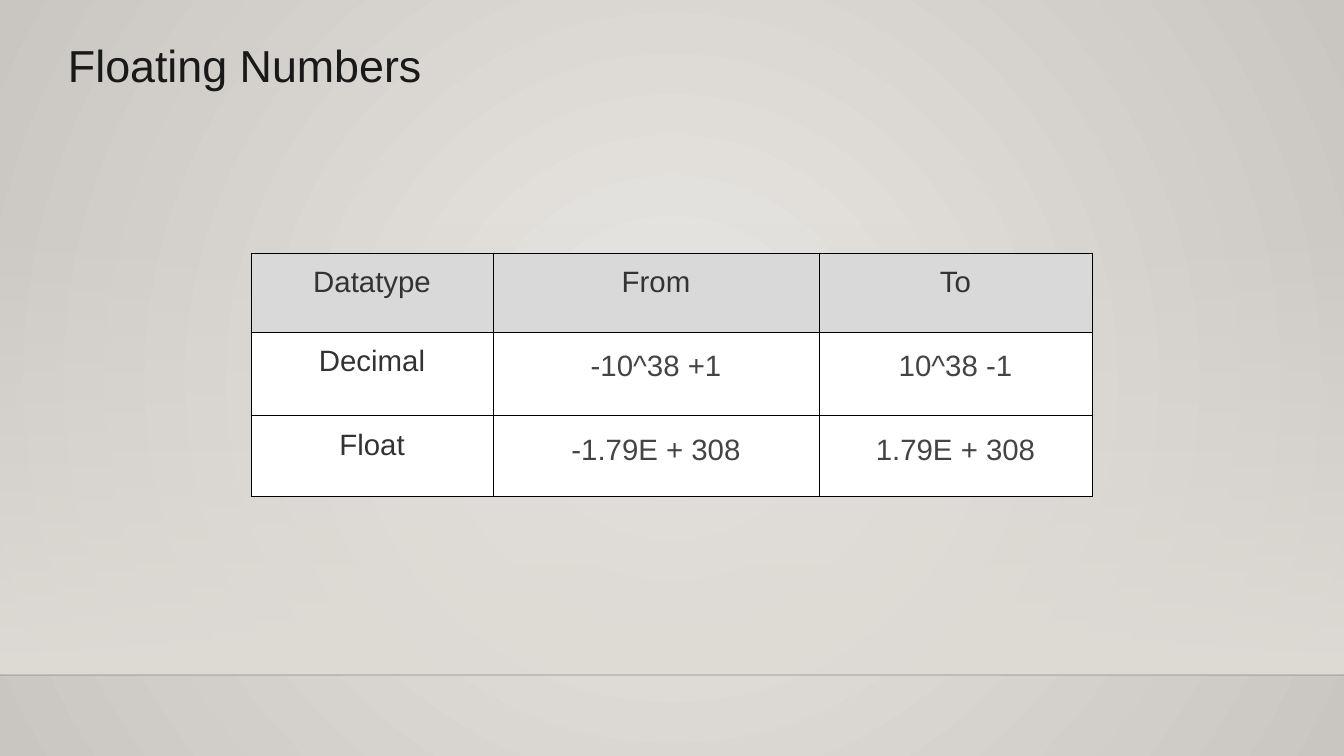
from dataclasses import dataclass
from typing import Any

from lxml import etree
from pptx import Presentation
from pptx import util as u
from pptx.dml.color import RGBColor
from pptx.enum import shapes, text
from pptx.oxml import ns, parse_xml

SCALE = 914400 / 100.8
INSET = 13

WALL_LIGHT = RGBColor(0xEB, 0xE9, 0xE6)
WALL_DARK = RGBColor(0xC9, 0xC5, 0xC0)
HAZE = RGBColor(0xDF, 0xDB, 0xD5)
HORIZON = RGBColor(0x00, 0x00, 0x01)
TITLE_INK = RGBColor(0x19, 0x19, 0x19)
LABEL_INK = RGBColor(0x33, 0x33, 0x33)
VALUE_INK = RGBColor(0x44, 0x44, 0x44)
HEADER_GREY = RGBColor(0xD9, 0xD9, 0xD9)
WHITE = RGBColor(0xFF, 0xFF, 0xFF)
BORDER = RGBColor(0x00, 0x00, 0x00)


@dataclass(frozen=True)
class NumberRange:
    datatype: str
    start: str
    end: str
    height: int


HEADER = NumberRange("Datatype", "From", "To", 79)
RANGES = [
    HEADER,
    NumberRange("Decimal", "-10^38 +1", "10^38 -1", 84),
    NumberRange("Float", "-1.79E + 308", "1.79E + 308", 81),
]
COLUMN_WIDTHS = [242, 326, 273]


def px(length: int) -> u.Emu:
    return u.Emu(round(length * SCALE))


def apply(target: Any, formats: dict[str, Any]) -> None:
    for name, value in formats.items():
        setattr(target, name, value)


def write(paragraph: Any, words: str, size: int, ink: RGBColor) -> None:
    run = paragraph.add_run()
    run.text = words
    apply(run.font, {"name": "Arial", "size": u.Pt(size), "bold": False})
    run.font.color.rgb = ink


def set_gradient(fill: Any, first: RGBColor, last: RGBColor) -> None:
    fill.gradient()
    for stop, colour in zip(fill.gradient_stops, (first, last)):
        stop.color.rgb = colour


def set_alpha(element: Any, percent: int) -> None:
    colour = element.find(".//" + ns.qn("a:srgbClr"))
    etree.SubElement(colour, ns.qn("a:alpha"), val=str(percent * 1000))


def paint_background(slide: Any) -> None:
    set_gradient(slide.background.fill, WALL_LIGHT, WALL_DARK)
    gradient = slide.element.find(".//" + ns.qn("a:gradFill"))
    gradient.remove(gradient.find(ns.qn("a:lin")))
    gradient.append(parse_xml(
        f'<a:path {ns.nsdecls("a")} path="circle">'
        '<a:fillToRect l="50000" t="50000" r="50000" b="50000"/></a:path>'))


def draw_horizon(slide: Any) -> None:
    haze = slide.shapes.add_shape(
        shapes.MSO_SHAPE.RECTANGLE, 0, px(223), px(1344), px(452))
    haze.shadow.inherit = False
    haze.line.fill.background()
    set_gradient(haze.fill, HAZE, HAZE)
    haze.fill.gradient_angle = 270
    set_alpha(haze.element.spPr.find(ns.qn("a:gradFill")), 0)

    horizon = slide.shapes.add_connector(
        shapes.MSO_CONNECTOR.STRAIGHT, 0, px(675), px(1344), px(675))
    horizon.line.width = u.Pt(1)
    horizon.line.color.rgb = HORIZON
    properties = horizon.element.spPr
    set_alpha(properties, 20)
    etree.SubElement(properties, ns.qn("a:effectLst"))


def draw_title(slide: Any) -> None:
    title = slide.shapes.add_textbox(px(55), px(21), px(1095), px(78)).text_frame
    apply(title, {
        "word_wrap": True,
        "vertical_anchor": text.MSO_ANCHOR.TOP,
        "margin_left": px(INSET),
        "margin_right": px(INSET),
        "margin_top": px(17),
        "margin_bottom": px(9),
    })
    write(title.paragraphs[0], "Floating Numbers", 32, TITLE_INK)


def draw_borders(cell: Any) -> None:
    properties = cell._tc.get_or_add_tcPr()
    for position, side in enumerate("LRTB"):
        properties.insert(position, parse_xml(
            f'<a:ln{side} {ns.nsdecls("a")} w="{u.Pt(0.75)}"><a:solidFill>'
            f'<a:srgbClr val="{BORDER}"/></a:solidFill></a:ln{side}>'))


def fill_cell(cell: Any, words: str, background: RGBColor, is_value: bool) -> None:
    cell.fill.solid()
    cell.fill.fore_color.rgb = background
    apply(cell, {
        "vertical_anchor": text.MSO_ANCHOR.TOP,
        "margin_left": px(INSET),
        "margin_right": px(INSET),
        "margin_top": px(INSET),
        "margin_bottom": px(INSET),
    })
    paragraph = cell.text_frame.paragraphs[0]
    apply(paragraph, {
        "alignment": text.PP_ALIGN.CENTER,
        "line_spacing": 1.15 if is_value else 1.0,
    })
    write(paragraph, words, 21, VALUE_INK if is_value else LABEL_INK)
    draw_borders(cell)


def draw_ranges(slide: Any) -> None:
    ranges = slide.shapes.add_table(
        len(RANGES), len(COLUMN_WIDTHS), px(251), px(253),
        px(sum(COLUMN_WIDTHS)), px(sum(r.height for r in RANGES))).table
    apply(ranges, {"first_row": False, "horz_banding": False})
    for column, width in zip(ranges.columns, COLUMN_WIDTHS):
        column.width = px(width)
    for row, entry in zip(ranges.rows, RANGES):
        row.height = px(entry.height)
        is_header = entry is HEADER
        background = HEADER_GREY if is_header else WHITE
        words = (entry.datatype, entry.start, entry.end)
        for index, (cell, word) in enumerate(zip(row.cells, words)):
            fill_cell(cell, word, background, index > 0 and not is_header)


def main() -> None:
    deck = Presentation()
    apply(deck, {"slide_width": px(1344), "slide_height": px(756)})
    slide = deck.slides.add_slide(deck.slide_layouts[6])
    paint_background(slide)
    draw_horizon(slide)
    draw_title(slide)
    draw_ranges(slide)
    deck.save("out.pptx")


if __name__ == "__main__":
    main()
